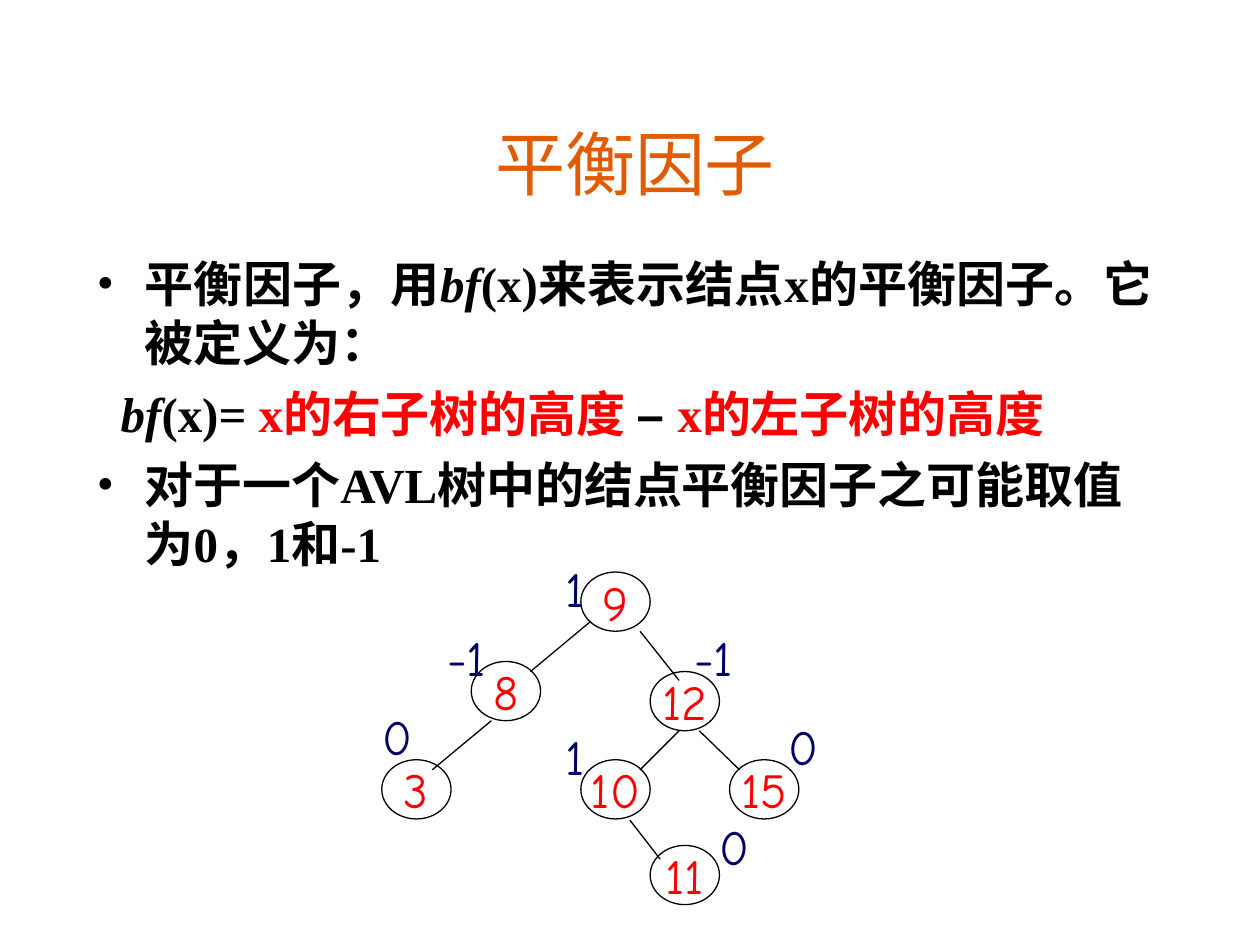
from dataclasses import dataclass
from typing import Any

from lxml.etree import SubElement
from pptx import Presentation
from pptx.dml.color import RGBColor
from pptx.enum.shapes import MSO_CONNECTOR, MSO_SHAPE
from pptx.enum.text import MSO_ANCHOR, PP_ALIGN
from pptx.oxml.ns import qn
from pptx.util import Inches, Pt

BLACK = RGBColor(0x00, 0x00, 0x00)
WHITE = RGBColor(0xFF, 0xFF, 0xFF)
RED = RGBColor(0xFF, 0x00, 0x00)
ORANGE = RGBColor(0xE2, 0x5B, 0x00)
NAVY = RGBColor(0x00, 0x00, 0x66)

HAN = "Noto Sans CJK SC"
SERIF = "Times New Roman"
SANS = "Arial"
HAND = "Comic Neue"

NODE_WIDTH, NODE_HEIGHT = 0.55, 0.47
LABEL_HEIGHT = 0.57


@dataclass(frozen=True)
class Span:
    text: str
    face: str = HAN
    color: RGBColor = BLACK
    size: int = 28
    bold: bool = True
    italic: bool = False


@dataclass(frozen=True)
class Paragraph:
    spans: tuple[Span, ...]
    align: PP_ALIGN = PP_ALIGN.JUSTIFY
    indent: float = -0.38
    bullet: bool = True


@dataclass(frozen=True)
class TreeNode:
    value: str
    left: float
    top: float
    factor: str
    label_left: float
    label_top: float


@dataclass(frozen=True)
class Edge:
    start: tuple[float, float]
    end: tuple[float, float]


BODY = (
    Paragraph((
        Span("平衡因子，用"), Span("bf", SERIF, italic=True), Span("(x)", SERIF),
        Span("来表示结点"), Span("x", SERIF), Span("的平衡因子。它被定义为："),
    )),
    Paragraph((
        Span("bf", SERIF, italic=True), Span("(x)= ", SERIF),
        Span("x", SERIF, RED), Span("的右子树的高度 ", color=RED),
        Span("– ", SANS), Span("x", SERIF, RED), Span("的左子树的高度", color=RED),
    ), indent=-0.19, bullet=False),
    Paragraph((
        Span("对于一个"), Span("AVL", SERIF), Span("树中的结点平衡因子之可能取值为"),
        Span("0", SERIF), Span("，"), Span("1", SERIF), Span("和"), Span("-1", SERIF),
    ), align=PP_ALIGN.LEFT),
)

NODES = (
    TreeNode("9", 4.61, 4.54, "1", 4.29, 4.38),
    TreeNode("8", 3.74, 5.25, "-1", 3.43, 4.93),
    TreeNode("3", 3.03, 6.03, "0", 2.88, 5.56),
    TreeNode("12", 5.16, 5.33, "-1", 5.39, 4.93),
    TreeNode("10", 4.61, 6.03, "1", 4.29, 5.72),
    TreeNode("15", 5.79, 6.03, "0", 6.10, 5.64),
    TreeNode("11", 5.16, 6.71, "0", 5.55, 6.43),
)

EDGES = (
    Edge((4.69, 4.93), (4.21, 5.33)),
    Edge((3.90, 5.72), (3.43, 6.11)),
    Edge((5.08, 5.01), (5.39, 5.40)),
    Edge((5.39, 5.80), (5.08, 6.11)),
    Edge((5.55, 5.80), (5.87, 6.11)),
    Edge((5.00, 6.51), (5.24, 6.82)),
)


def apply_format(target: Any, values: dict[str, Any]) -> None:
    for name, value in values.items():
        setattr(target, name, value)


def add_span(para: Any, span: Span) -> None:
    run = para.add_run()
    run.text = span.text
    apply_format(run.font, {
        "name": span.face, "size": Pt(span.size),
        "bold": span.bold, "italic": span.italic,
    })
    run.font.color.rgb = span.color
    east_asian = SubElement(run.font._element, qn("a:ea"))
    east_asian.set("typeface", HAN if span.face == SERIF else span.face)


def add_centred_text(frame: Any, span: Span, **values: Any) -> None:
    apply_format(frame, {"word_wrap": True, **values})
    para = frame.paragraphs[0]
    para.alignment = PP_ALIGN.CENTER
    add_span(para, span)


def add_box(page: Any, left: float, top: float, width: float, height: float) -> Any:
    return page.shapes.add_textbox(
        Inches(left), Inches(top), Inches(width), Inches(height))


def add_body(page: Any) -> None:
    frame = add_box(page, 0.67, 1.92, 8.58, 5).text_frame
    apply_format(frame, {"word_wrap": True, "margin_top": Inches(0.09)})
    for index, item in enumerate(BODY):
        para = frame.add_paragraph() if index else frame.paragraphs[0]
        apply_format(para, {
            "alignment": item.align,
            "line_spacing": Pt(33.7),
            "space_before": Pt(7 if index else 0),
        })
        properties = para._p.get_or_add_pPr()
        properties.set("marL", str(Inches(0.38)))
        properties.set("indent", str(Inches(item.indent)))
        if item.bullet:
            color = SubElement(properties, qn("a:buClr"))
            SubElement(color, qn("a:srgbClr")).set("val", str(BLACK))
            SubElement(properties, qn("a:buFont")).set("typeface", SERIF)
            SubElement(properties, qn("a:buChar")).set("char", "•")
        for span in item.spans:
            add_span(para, span)


def add_node(page: Any, node: TreeNode) -> None:
    oval = page.shapes.add_shape(
        MSO_SHAPE.OVAL, Inches(node.left), Inches(node.top),
        Inches(NODE_WIDTH), Inches(NODE_HEIGHT))
    oval.shadow.inherit = False
    oval.fill.solid()
    oval.fill.fore_color.rgb = WHITE
    oval.line.color.rgb = BLACK
    oval.line.width = Pt(0.75)
    add_centred_text(oval.text_frame, Span(node.value, HAND, RED, bold=False),
                     word_wrap=False, vertical_anchor=MSO_ANCHOR.MIDDLE)


def add_edge(page: Any, edge: Edge) -> None:
    points = [Inches(value) for value in (*edge.start, *edge.end)]
    line = page.shapes.add_connector(MSO_CONNECTOR.STRAIGHT, *points)
    line.line.color.rgb = BLACK
    line.line.width = Pt(0.75)
    SubElement(line._element.spPr, qn("a:effectLst"))


def add_factor(page: Any, node: TreeNode) -> None:
    box = add_box(page, node.label_left, node.label_top, NODE_WIDTH, LABEL_HEIGHT)
    add_centred_text(box.text_frame, Span(node.factor, HAND, NAVY, bold=False))


def main() -> None:
    deck = Presentation()
    apply_format(deck, {"slide_width": Inches(10), "slide_height": Inches(7.5)})
    page = deck.slides.add_slide(deck.slide_layouts[6])
    title = add_box(page, 0.75, 0.79, 8.58, 0.83)
    add_centred_text(title.text_frame, Span("平衡因子", HAN, ORANGE, 40, False),
                     vertical_anchor=MSO_ANCHOR.BOTTOM, margin_bottom=0)
    add_body(page)
    for node in NODES:
        add_node(page, node)
    for edge in EDGES:
        add_edge(page, edge)
    for node in NODES:
        add_factor(page, node)
    deck.save("out.pptx")


if __name__ == "__main__":
    main()
